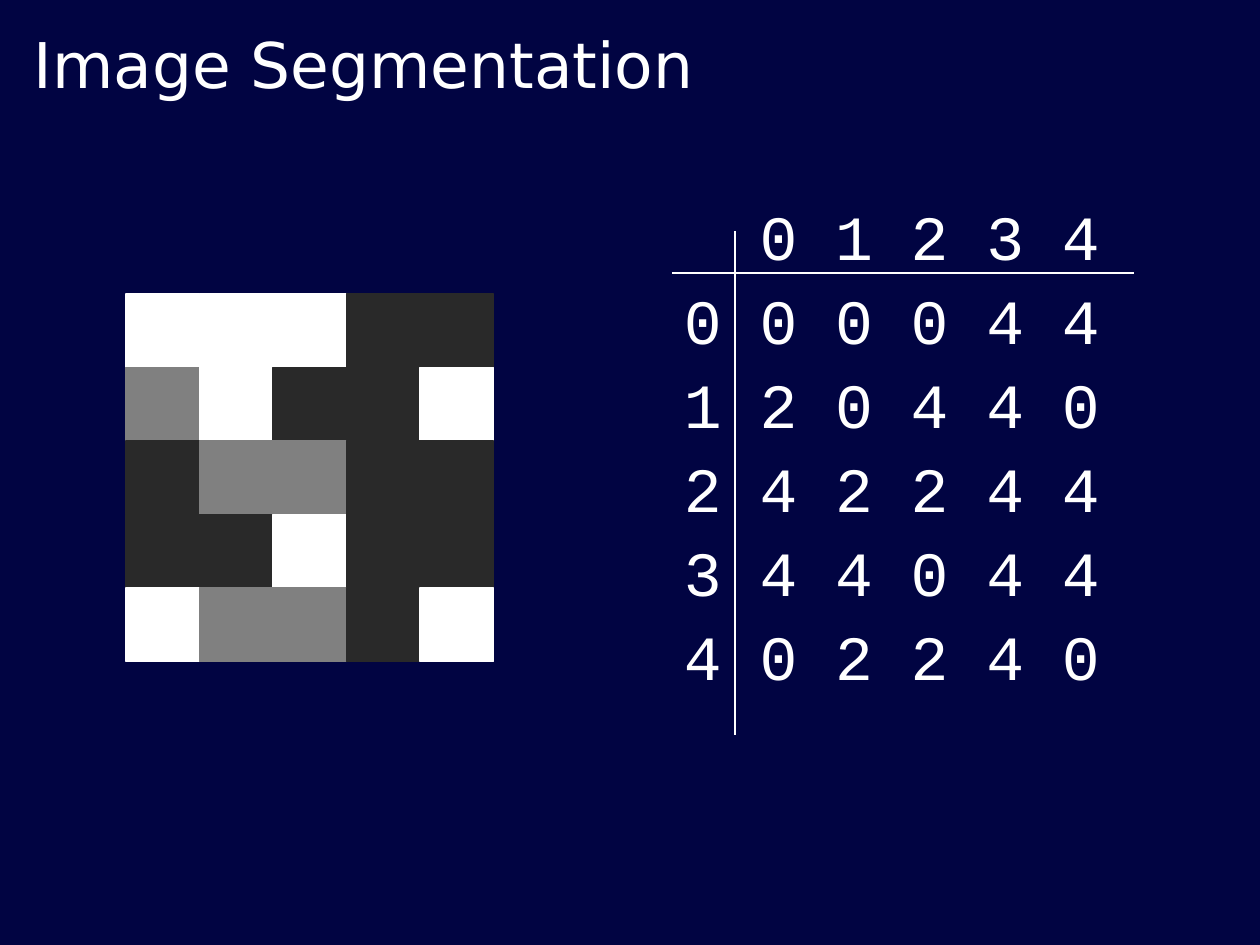
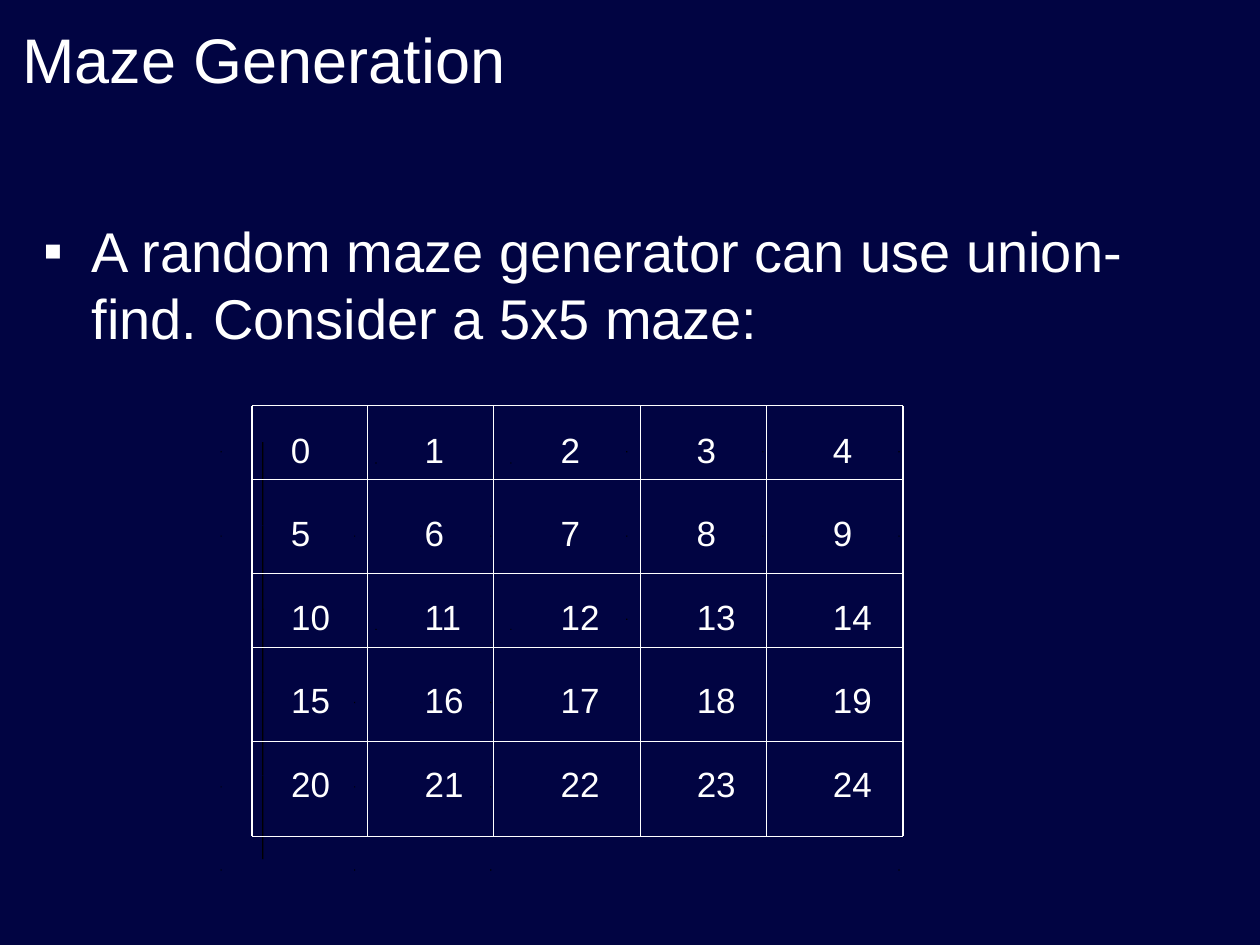
"""Build two slides on union-find: image segmentation and maze generation."""
from itertools import product

from lxml.etree import SubElement
from pptx import Presentation
from pptx.dml.color import RGBColor
from pptx.enum.shapes import MSO_CONNECTOR, MSO_SHAPE
from pptx.enum.text import MSO_ANCHOR
from pptx.oxml.ns import qn
from pptx.util import Inches, Pt

NAVY = RGBColor(0x01, 0x04, 0x42)
WHITE = RGBColor(0xFF, 0xFF, 0xFF)
GRAY = RGBColor(0x80, 0x80, 0x80)
DARK = RGBColor(0x29, 0x29, 0x29)
BLACK = RGBColor(0x00, 0x00, 0x00)
TONES = {0: WHITE, 2: GRAY, 4: DARK}
UNIT = 1 / 12

SEGMENT = {
    "title": ("Image Segmentation", (0.17, 0, 8.92, 1), "DejaVu Sans"),
    "pixels": [
        (0, 0, 0, 4, 4),
        (2, 0, 4, 4, 0),
        (4, 2, 2, 4, 4),
        (4, 4, 0, 4, 4),
        (0, 2, 2, 4, 0),
    ],
    "corner": (12 * UNIT, 28 * UNIT),
    "side": 7 * UNIT,
    "matrix": (5.33, 1.58, 4.33, 5),
    "axes": [(64, 26, 108, 26), (70, 22, 70, 70)],
}
MAZE = {
    "title": ("Maze Generation", (0.08, 0, 8.5, 0.92), "Arial"),
    "body": "A random maze generator can use union-find. Consider a 5x5 maze:",
    "place": (0.25, 1.67, 9.25, 1.3),
    "walls": [n * UNIT for n in (24, 35, 47, 61, 73, 86)],
    "floors": [3.22 + n * UNIT for n in (0, 7, 16, 23, 32, 41)],
    "lefts": (2.31, 3.37, 4.45, 5.53, 6.61),
    "top": 3.4,
    "step": 0.6625,
    "bars": (2.08, 3.51),
    "specks": [
        (3.58, (1.75, 4.97, 6.05, 7.13)),
        (3.67, (2.98, 4.05)),
        (4.25, (1.75, 2.81, 3.89, 4.97, 6.05, 7.13)),
        (4.83, (2.08,)),
        (4.91, (4.97,)),
        (4.99, (2.98, 4.05)),
        (5.49, (2.08,)),
        (5.57, (2.81, 3.89)),
        (6.24, (1.75, 2.81, 3.89)),
        (6.9, (1.75, 2.81, 3.89, 7.13)),
    ],
}


def put(item, values):
    for name, value in values.items():
        setattr(item, name, value)


def style(para, font, size, **values):
    put(para, values)
    put(para.font, {"name": font, "size": Pt(size)})
    para.font.color.rgb = WHITE


def box(slide, place, inset=(0.1, 0.05), **values):
    frame = slide.shapes.add_textbox(*map(Inches, place)).text_frame
    wide, high = map(Inches, inset)
    put(frame, {"margin_left": wide, "margin_right": wide,
                "margin_top": high, "margin_bottom": high,
                "word_wrap": True, **values})
    return frame


def block(shapes, place, tone):
    tile = shapes.add_shape(MSO_SHAPE.RECTANGLE, *map(Inches, place))
    tile.shadow.inherit = False
    tile.fill.solid()
    tile.fill.fore_color.rgb = tone
    tile.line.fill.background()
    return tile


def rule(slide, *ends):
    line = slide.shapes.add_connector(MSO_CONNECTOR.STRAIGHT, *map(Inches, ends))
    line.line.width = Pt(0.75)
    line.line.color.rgb = WHITE
    SubElement(line._element.spPr, qn("a:effectLst"))


def start(deck, title):
    slide = deck.slides.add_slide(deck.slide_layouts[6])
    slide.background.fill.solid()
    slide.background.fill.fore_color.rgb = NAVY
    text, place, font = title
    para = box(slide, place, vertical_anchor=MSO_ANCHOR.MIDDLE).paragraphs[0]
    para.text = text
    style(para, font, 36)
    return slide


def indent(para, left, hang=0):
    props = para._p.get_or_add_pPr()
    props.set("marL", str(Inches(left)))
    props.set("indent", str(Inches(-hang)))
    return props


def segment(deck):
    data = SEGMENT
    slide = start(deck, data["title"])
    rows = [range(5)] + [(i, *row) for i, row in enumerate(data["pixels"])]
    frame = box(slide, data["matrix"], (0.1, 0.06))
    for i, row in enumerate(rows):
        para = frame.add_paragraph() if i else frame.paragraphs[0]
        para.text = " ".join(map(str, row))
        indent(para, 0 if i else 0.6)
        style(para, "Courier New", 36, line_spacing=0.9,
              space_before=Pt(9 if i else 0))
    for ends in data["axes"]:
        rule(slide, *(n * UNIT for n in ends))
    group = slide.shapes.add_group_shape()
    left, top = data["corner"]
    side = data["side"]
    for r, c in product(range(5), repeat=2):
        tone = TONES[data["pixels"][r][c]]
        place = (left + c * side, top + r * side, side, side)
        tile = block(group.shapes, place, tone)
        tile.line.color.rgb = tone
        tile.line.width = Pt(0.75)


def maze(deck):
    data = MAZE
    slide = start(deck, data["title"])
    para = box(slide, data["place"]).paragraphs[0]
    para.text = data["body"]
    props = indent(para, 0.38, 0.38)
    color = SubElement(props, qn("a:buClr"))
    SubElement(color, qn("a:srgbClr"), val=str(WHITE))
    SubElement(props, qn("a:buFont"), typeface="Arial")
    SubElement(props, qn("a:buChar"), char="▪")
    style(para, "Arial", 32)
    left, top = data["bars"]
    step = data["step"]
    for r in range(5):
        block(slide.shapes, (left, top + r * step, 0.01, 0.66), BLACK)
    for y, spots in data["specks"]:
        for x in spots:
            block(slide.shapes, (x, y, 0.01, 0.01), BLACK)
    for r, c in product(range(5), repeat=2):
        text = str(5 * r + c)
        place = (data["lefts"][c], data["top"] + r * step,
                 0.16 * len(text), 0.33)
        para = box(slide, place, (0, 0), word_wrap=False).paragraphs[0]
        para.text = text
        style(para, "Arial", 20)
    walls, floors = data["walls"], data["floors"]
    for x in walls:
        rule(slide, x, floors[0], x, floors[-1])
    for y in floors:
        rule(slide, walls[0], y, walls[-1], y)


def main():
    deck = Presentation()
    put(deck, {"slide_width": Inches(10), "slide_height": Inches(7.5)})
    segment(deck)
    maze(deck)
    deck.save("out.pptx")


if __name__ == "__main__":
    main()
